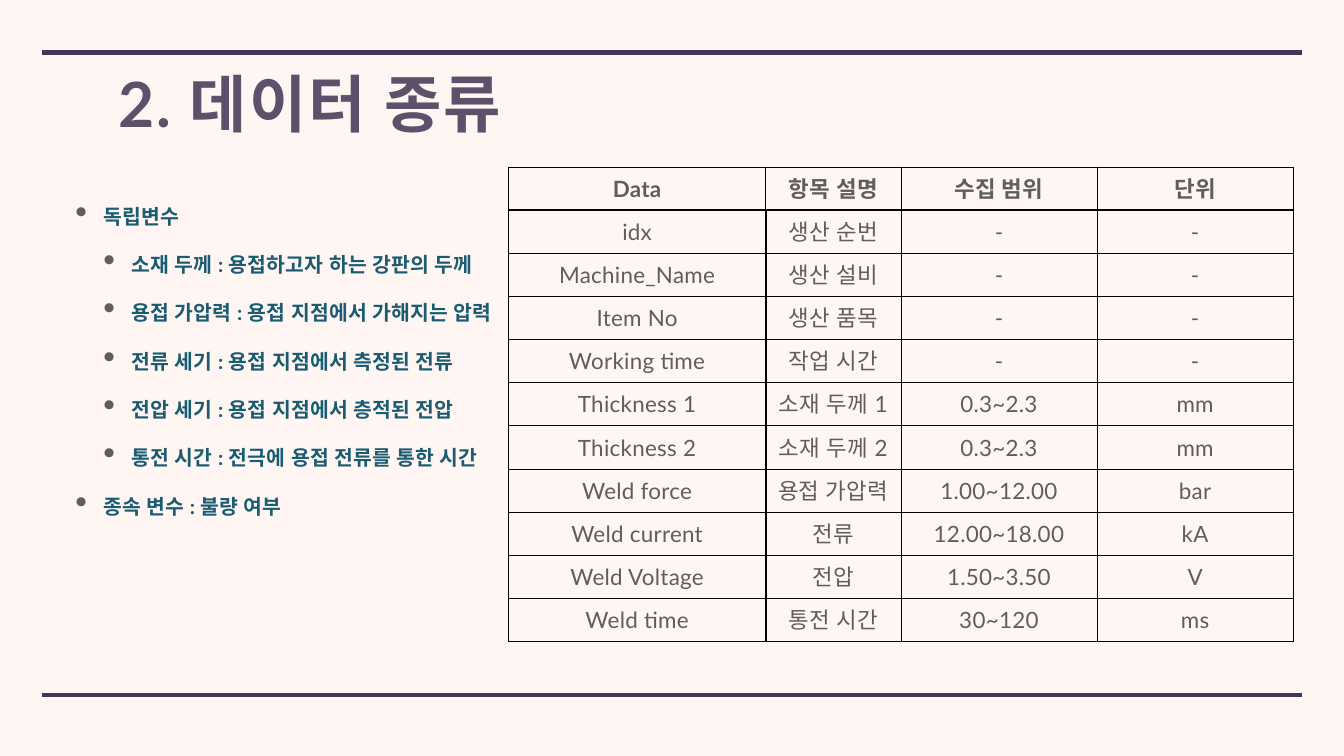
from dataclasses import dataclass

from lxml import etree
from pptx import Presentation
from pptx.dml.color import RGBColor
from pptx.enum.shapes import MSO_CONNECTOR
from pptx.enum.text import MSO_ANCHOR, PP_ALIGN
from pptx.oxml.ns import qn
from pptx.util import Emu, Inches, Pt

STRAIGHT = MSO_CONNECTOR.STRAIGHT
TOP, MIDDLE = MSO_ANCHOR.TOP, MSO_ANCHOR.MIDDLE
CENTER = PP_ALIGN.CENTER
GRID_COLS, GRID_ROWS = 32, 18


@dataclass(frozen=True)
class Theme:
    background: str = "FFF5F2"
    rule: str = "443658"
    title: str = "5B516A"
    bullet_text: str = "1A5C71"
    body: str = "5E5E5E"
    border: str = "000000"
    font: str = "Lato"
    title_size: float = 89.1
    bullet_size: float = 29.2
    table_size: float = 32
    rule_width: float = 6
    thin: float = 1
    thick: float = 3
    inset: float = 0.06
    indent: float = 0.56


def add_xml(parent, tag, **attrs):
    return etree.SubElement(parent, qn(tag), {k: str(v) for k, v in attrs.items()})


class SlideBuilder:
    """Draws on one slide, with lengths in columns and rows of a 32 x 18 grid."""

    def __init__(self, prs, theme):
        self.theme = theme
        self.slide = prs.slides.add_slide(prs.slide_layouts[6])
        self.col = prs.slide_width / GRID_COLS
        self.row = prs.slide_height / GRID_ROWS
        fill = self.slide.background.fill
        fill.solid()
        fill.fore_color.rgb = RGBColor.from_string(theme.background)

    def x(self, cols):
        return Emu(round(cols * self.col))

    def y(self, rows):
        return Emu(round(rows * self.row))

    def frame(self, target, anchor):
        """Set the margins and anchor of a text frame or a table cell."""
        for side in ("left", "right", "top", "bottom"):
            setattr(target, f"margin_{side}", Inches(self.theme.inset))
        target.vertical_anchor = anchor

    def run(self, p, text, color, size, spacing, bold=True):
        r = p.add_run()
        r.text = text
        style = {"name": self.theme.font, "size": Pt(size), "bold": bold}
        for name, value in style.items():
            setattr(r.font, name, value)
        r.font.color.rgb = RGBColor.from_string(color)
        rPr = r.font._element
        rPr.set("spc", str(round(spacing * 100)))
        add_xml(rPr, "a:ea", typeface=self.theme.font)

    def rule(self, left, right, y):
        line = self.slide.shapes.add_connector(
            STRAIGHT, self.x(left), self.y(y), self.x(right), self.y(y))
        line.line.color.rgb = RGBColor.from_string(self.theme.rule)
        line.line.width = Pt(self.theme.rule_width)
        add_xml(line._element.spPr, "a:effectLst")

    def text_box(self, left, top, width, height):
        sp = self.slide.shapes.add_textbox(
            self.x(left), self.y(top), self.x(width), self.y(height))
        tf = sp.text_frame
        tf.word_wrap = True
        self.frame(tf, TOP)
        return tf

    def title(self, text, *box):
        p = self.text_box(*box).paragraphs[0]
        p.line_spacing = 0.9
        self.run(p, text, self.theme.title, self.theme.title_size, 2.7)

    def bullets(self, items, *box):
        tf = self.text_box(*box)
        step = Inches(self.theme.indent)
        for i, (level, text) in enumerate(items):
            p = tf.add_paragraph() if i else tf.paragraphs[0]
            p.level = level
            p.space_before = Pt(34)
            pPr = p._p.get_or_add_pPr()
            pPr.set("marL", str(step * (level + 1)))
            pPr.set("indent", str(-step))
            add_xml(add_xml(pPr, "a:buClr"), "a:srgbClr", val=self.theme.body)
            add_xml(pPr, "a:buSzPct", val=170000)
            add_xml(pPr, "a:buChar", char="•")
            self.run(p, text, self.theme.bullet_text, self.theme.bullet_size, 0.3)

    def borders(self, cell, widths):
        tcPr = cell._tc.get_or_add_tcPr()
        for side, width in widths.items():
            ln = add_xml(tcPr, f"a:ln{side}", w=Pt(width))
            add_xml(add_xml(ln, "a:solidFill"), "a:srgbClr", val=self.theme.border)

    def table(self, rows, left, top, widths, height):
        t = self.theme
        table = self.slide.shapes.add_table(
            len(rows), len(widths), self.x(left), self.y(top),
            self.x(sum(widths)), self.y(height)).table
        table.first_row = table.horz_banding = False
        for column, width in zip(table.columns, widths):
            column.width = self.x(width)
        for i, values in enumerate(rows):
            table.rows[i].height = self.y(height / len(rows))
            for j, text in enumerate(values):
                cell = table.cell(i, j)
                self.frame(cell, MIDDLE)
                p = cell.text_frame.paragraphs[0]
                p.alignment = CENTER
                self.run(p, text, t.body, t.table_size, 0.4, bold=i == 0)
                edges = dict.fromkeys("LRTB", t.thin)
                if i == 0:
                    edges["B"] = t.thick
                elif j == 0:
                    edges["R"] = t.thick
                elif i == 1:
                    del edges["T"]  # the header's thick edge shows here
                self.borders(cell, edges)
                cell.fill.background()


BULLETS = [
    (0, "독립변수"),
    (1, "소재 두께 : 용접하고자 하는 강판의 두께"),
    (1, "용접 가압력 : 용접 지점에서 가해지는 압력"),
    (1, "전류 세기 : 용접 지점에서 측정된 전류"),
    (1, "전압 세기 : 용접 지점에서 층적된 전압"),
    (1, "통전 시간 : 전극에 용접 전류를 통한 시간"),
    (0, "종속 변수 : 불량 여부"),
]

DATA_FIELDS = [
    ("Data", "항목 설명", "수집 범위", "단위"),
    ("idx", "생산 순번", "-", "-"),
    ("Machine_Name", "생산 설비", "-", "-"),
    ("Item No", "생산 품목", "-", "-"),
    ("Working time", "작업 시간", "-", "-"),
    ("Thickness 1", "소재 두께 1", "0.3~2.3", "mm"),
    ("Thickness 2", "소재 두께 2", "0.3~2.3", "mm"),
    ("Weld force", "용접 가압력", "1.00~12.00", "bar"),
    ("Weld current", "전류", "12.00~18.00", "kA"),
    ("Weld Voltage", "전압", "1.50~3.50", "V"),
    ("Weld time", "통전 시간", "30~120", "ms"),
]


def main():
    prs = Presentation()
    prs.slide_width, prs.slide_height = Inches(26.67), Inches(15)
    page = SlideBuilder(prs, Theme())
    for y in (1.25, 16.54):
        page.rule(1, 31, y)
    page.bullets(BULLETS, 1.72, 4.78, 26.52, 8.24)
    page.title("2. 데이터 종류", 2.74, 1.68, 26.52, 2.16)
    page.table(DATA_FIELDS, 12.11, 3.98, (6.12, 3.22, 4.67, 4.67), 11.29)
    prs.save("out.pptx")


if __name__ == "__main__":
    main()
